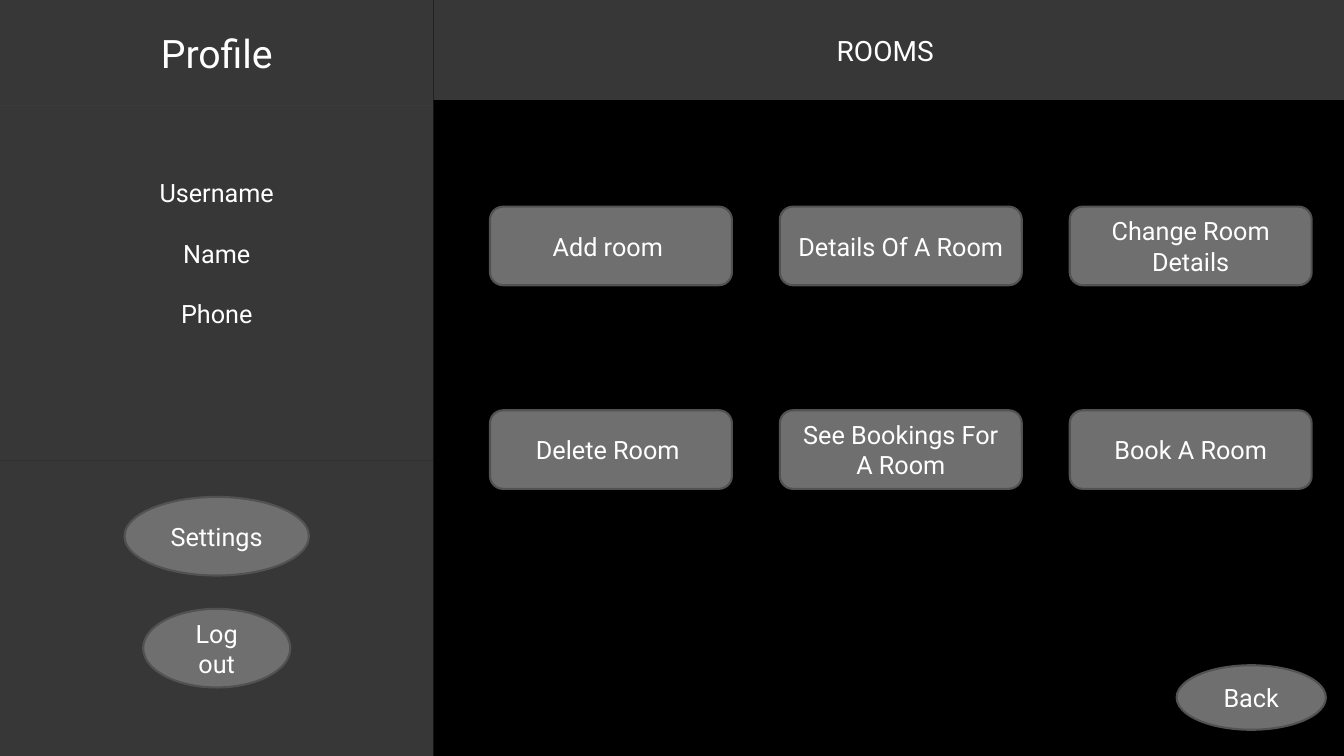
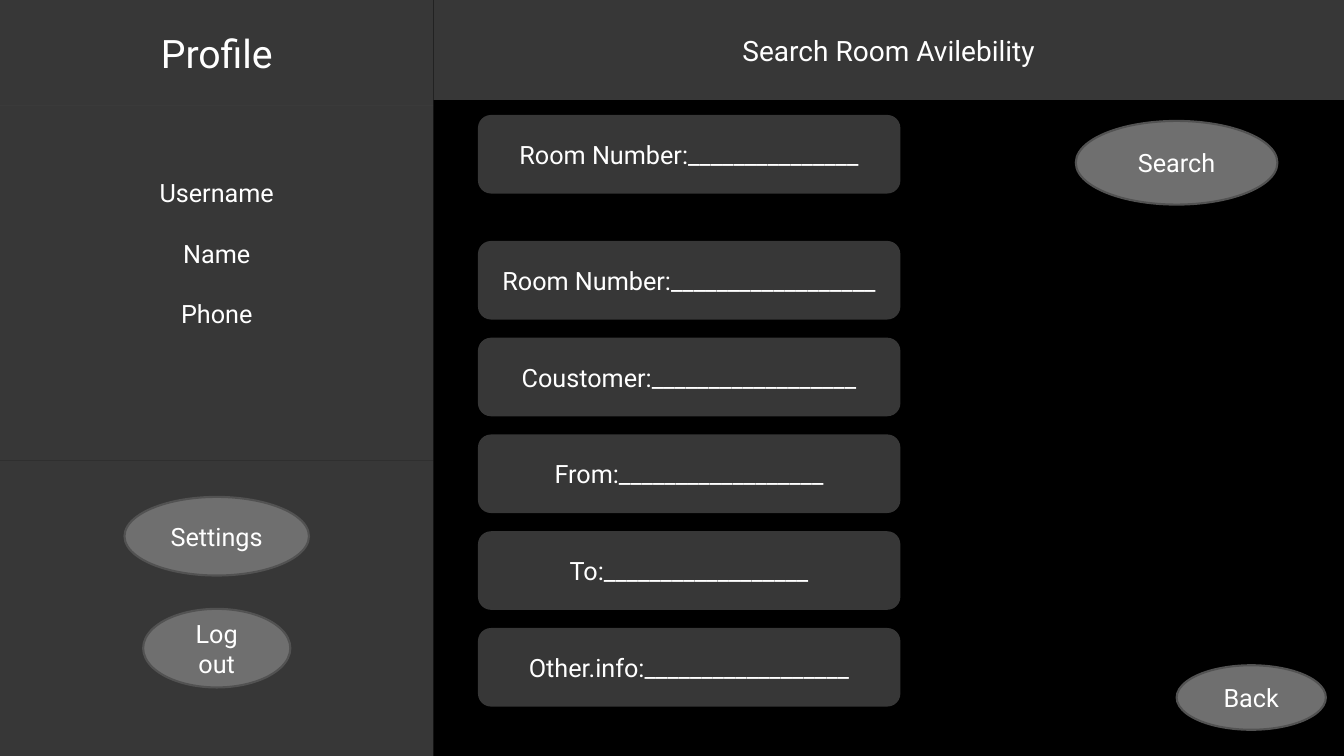
from lxml import etree
from pptx import Presentation
from pptx.dml.color import RGBColor
from pptx.enum.shapes import MSO_SHAPE
from pptx.enum.text import MSO_ANCHOR, PP_ALIGN
from pptx.oxml.ns import qn
from pptx.util import Inches, Pt

RECTANGLE, ROUNDED, OVAL = MSO_SHAPE.RECTANGLE, MSO_SHAPE.ROUNDED_RECTANGLE, MSO_SHAPE.OVAL
CENTER, MIDDLE = PP_ALIGN.CENTER, MSO_ANCHOR.MIDDLE

PAGE_WIDTH, PAGE_HEIGHT = 13.33, 7.5
BLACK, GREY, EDGE, WHITE = "000000", "6F6F6F", "525252", "FFFFFF"
FONT = "Roboto"

SIDEBAR = 4.3
PROFILE_HEAD, PROFILE_END = 1.05, 4.57
TITLE_HEIGHT = 0.99
CONTROL_HEIGHT = 0.78
LINE_GAP = 21.6

BUTTON_LEFT, BUTTON_TOP, BUTTON_WIDTH = 4.86, 2.05, 2.4
COLUMN_STEP, ROW_STEP = 2.875, 2.02
FIELD_LEFT, FIELD_WIDTH, FIELD_STEP = 4.74, 4.19, 0.96
SEARCH_FIELD_TOP, FIRST_FIELD_TOP = 1.14, 2.39

ROOM_ACTIONS = [
    ["Add room ", "Details Of A Room", "Change Room Details"],
    ["Delete Room ", "See Bookings For A Room", "Book A Room"],
]
BLANK_LINE = "_" * 18
BOOKING_FIELDS = ["Room Number:", "Coustomer:", "From:", "To:", "Other.info:"]


def color(value):
    return RGBColor.from_string(value)


def write(shape, lines, size):
    """Centre the lines in the shape, one paragraph each, a line's height apart."""
    frame = shape.text_frame
    frame.word_wrap = True
    frame.vertical_anchor = MIDDLE
    for index, line in enumerate(lines):
        para = frame.paragraphs[0] if index == 0 else frame.add_paragraph()
        para.alignment = CENTER
        if index:
            para.space_before = Pt(LINE_GAP)
        span = para.add_run()
        span.text = line
        for name, value in {"name": FONT, "size": Pt(size)}.items():
            setattr(span.font, name, value)
        span.font.color.rgb = color(WHITE)


def add_box(page, kind, place, lines=(), size=18):
    shape = page.shapes.add_shape(kind, *(Inches(length) for length in place))
    shape.shadow.inherit = False
    shape.fill.solid()
    shape.fill.fore_color.rgb = color(GREY)
    write(shape, lines, size)
    return shape


def add_panel(page, place, lines=(), size=18, kind=RECTANGLE):
    """Add a half-transparent box without an outline."""
    panel = add_box(page, kind, place, lines, size)
    panel.line.fill.background()
    tint = panel.fill._xPr.find(".//" + qn("a:srgbClr"))
    etree.SubElement(tint, qn("a:alpha"), val="50000")
    return panel


def add_button(page, kind, place, label):
    button = add_box(page, kind, place, [label])
    button.line.color.rgb = color(EDGE)
    button.line.width = Pt(1.5)


def add_field(page, top, label):
    add_panel(page, (FIELD_LEFT, top, FIELD_WIDTH, CONTROL_HEIGHT), [label], kind=ROUNDED)


def add_sidebar(page):
    add_panel(page, (0, 0, SIDEBAR, PROFILE_HEAD), ["Profile"], 28)
    details = add_panel(page, (0, PROFILE_HEAD, SIDEBAR, PROFILE_END - PROFILE_HEAD),
                        ["Username", "Name", "Phone"])
    details.text_frame.margin_bottom = Inches(0.65)
    add_panel(page, (0, PROFILE_END, SIDEBAR, PAGE_HEIGHT - PROFILE_END))
    for label, top, width in [("Settings", 4.93, 1.83), ("Log out", 6.04, 1.46)]:
        left = (SIDEBAR - width) / 2
        add_button(page, OVAL, (left, top, width, CONTROL_HEIGHT), label)


def add_page(deck, title):
    """Add a black page with the profile sidebar, title band and back button."""
    page = deck.slides.add_slide(deck.slide_layouts[6])
    page.background.fill.solid()
    page.background.fill.fore_color.rgb = color(BLACK)
    add_sidebar(page)
    add_panel(page, (SIDEBAR, 0, PAGE_WIDTH - SIDEBAR, TITLE_HEIGHT), [title], 20)
    add_button(page, OVAL, (11.67, 6.6, 1.48, 0.64), "Back")
    return page


def add_rooms_page(deck):
    page = add_page(deck, "ROOMS ")
    for row, labels in enumerate(ROOM_ACTIONS):
        for column, label in enumerate(labels):
            left = BUTTON_LEFT + column * COLUMN_STEP
            top = BUTTON_TOP + row * ROW_STEP
            add_button(page, ROUNDED, (left, top, BUTTON_WIDTH, CONTROL_HEIGHT), label)


def add_search_page(deck):
    page = add_page(deck, "Search Room Avilebility")
    add_field(page, SEARCH_FIELD_TOP, "Room Number:" + "_" * 15)
    add_button(page, OVAL, (10.67, 1.2, 2, 0.83), "Search")
    for row, label in enumerate(BOOKING_FIELDS):
        add_field(page, FIRST_FIELD_TOP + row * FIELD_STEP, label + BLANK_LINE)


def main():
    deck = Presentation()
    deck.slide_width, deck.slide_height = Inches(PAGE_WIDTH), Inches(PAGE_HEIGHT)
    add_rooms_page(deck)
    add_search_page(deck)
    deck.save("out.pptx")


if __name__ == "__main__":
    main()
